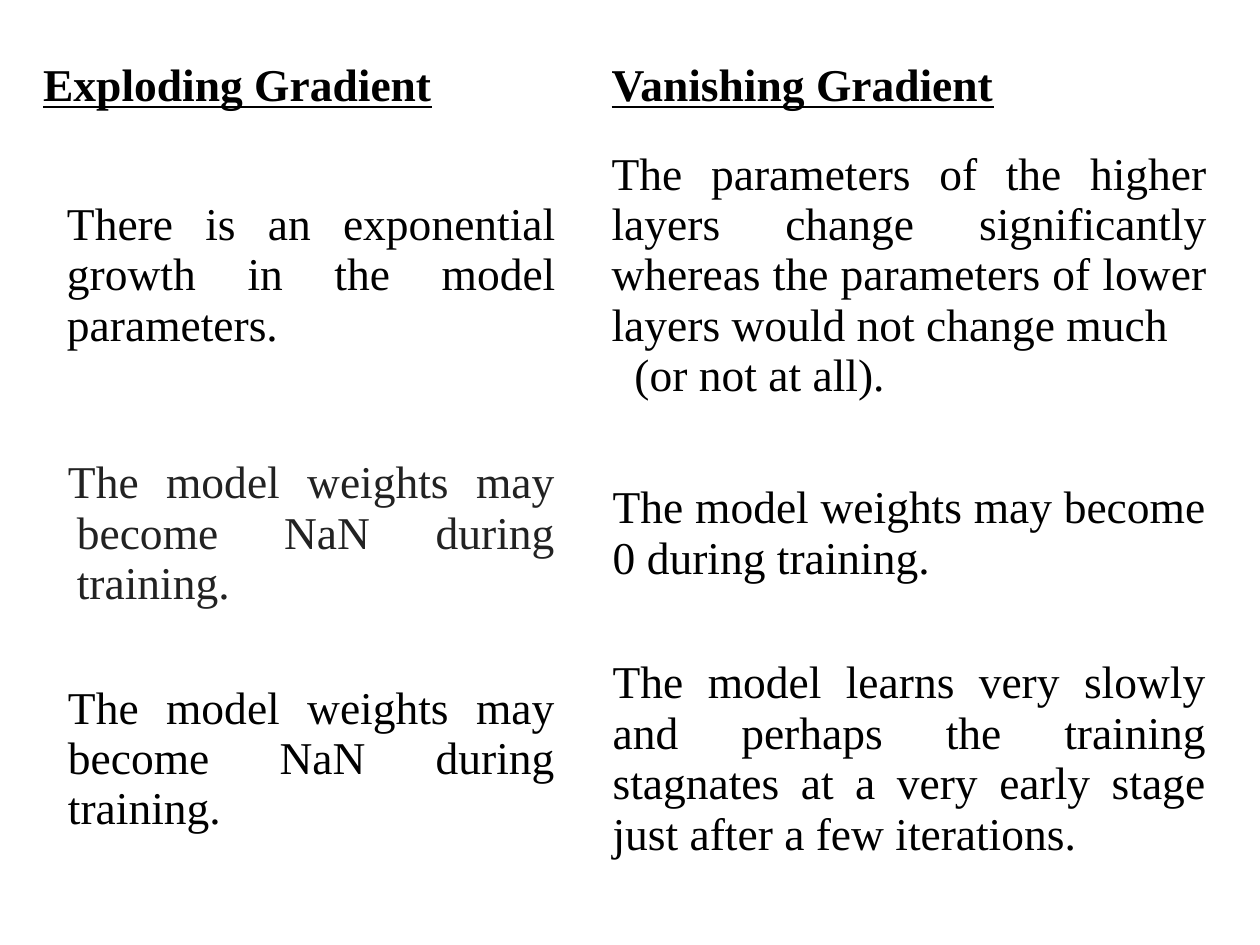
import pptx
import pptx.dml.color
import pptx.enum.text
import pptx.util
from pptx.util import Cm

BLACK = pptx.dml.color.RGBColor(0x00, 0x00, 0x00)
CHARCOAL = pptx.dml.color.RGBColor(0x22, 0x22, 0x22)
WHITE = pptx.dml.color.RGBColor(0xFF, 0xFF, 0xFF)

COLUMN_WIDTHS = [10.8, 13.13]
ROW_HEIGHTS = [1.35, 6.27, 4.14, 4.95]
SIDE_MARGINS = [0.23, 0.23, 0.25, 0.25]

# Each cell lists its paragraphs: (text, left indent, first-line indent, colour)
COMPARISON = [
    [
        [("Exploding Gradient", 0, 0, BLACK)],
        [("Vanishing Gradient", 0.66, 0, BLACK)],
    ],
    [
        [("There is an exponential growth in the model parameters.", 0.48, 0, BLACK)],
        [
            ("The parameters of the higher layers change significantly whereas "
             "the parameters of lower layers would not change much", 0.66, 0, BLACK),
            ("(or not at all).", 1.12, 0, BLACK),
        ],
    ],
    [
        [("The model weights may become NaN during training.", 0.66, -0.18, CHARCOAL)],
        [("The model weights may become 0 during training.", 0.66, 0, BLACK)],
    ],
    [
        [("The model weights may become NaN during training.", 0.48, 0, BLACK)],
        [("The model learns very slowly and perhaps the training stagnates at a "
          "very early stage just after a few iterations.", 0.66, 0, BLACK)],
    ],
]


def fill_cell(cell, paragraphs, side_margin, is_heading):
    cell.fill.solid()
    cell.fill.fore_color.rgb = WHITE
    cell.vertical_anchor = pptx.enum.text.MSO_ANCHOR.MIDDLE
    cell.margin_left = cell.margin_right = Cm(side_margin)
    cell.margin_top = cell.margin_bottom = Cm(0.13)
    cell.text = "\n".join(text for text, *_ in paragraphs)
    for paragraph, (_, left, first_line, colour) in zip(cell.text_frame.paragraphs, paragraphs):
        properties = paragraph._p.get_or_add_pPr()
        properties.set("marL", str(Cm(left)))
        properties.set("indent", str(Cm(first_line)))
        paragraph.alignment = pptx.enum.text.PP_ALIGN.JUSTIFY
        for run in paragraph.runs:
            run.font.name = "Times New Roman"
            run.font.size = pptx.util.Pt(26)
            run.font.bold = is_heading
            run.font.underline = is_heading
            run.font.color.rgb = colour


def main():
    presentation = pptx.Presentation()
    presentation.slide_width = Cm(25.4)
    presentation.slide_height = Cm(19.05)
    slide = presentation.slides.add_slide(presentation.slide_layouts[6])

    comparison = slide.shapes.add_table(
        len(ROW_HEIGHTS), len(COLUMN_WIDTHS), Cm(0.64), Cm(1.07),
        Cm(sum(COLUMN_WIDTHS)), Cm(sum(ROW_HEIGHTS))).table
    comparison.horz_banding = False
    for column, width in zip(comparison.columns, COLUMN_WIDTHS):
        column.width = Cm(width)
    for index, (row, height) in enumerate(zip(comparison.rows, ROW_HEIGHTS)):
        row.height = Cm(height)
        for cell, paragraphs in zip(row.cells, COMPARISON[index]):
            fill_cell(cell, paragraphs, SIDE_MARGINS[index], index == 0)

    presentation.save("out.pptx")


if __name__ == "__main__":
    main()
